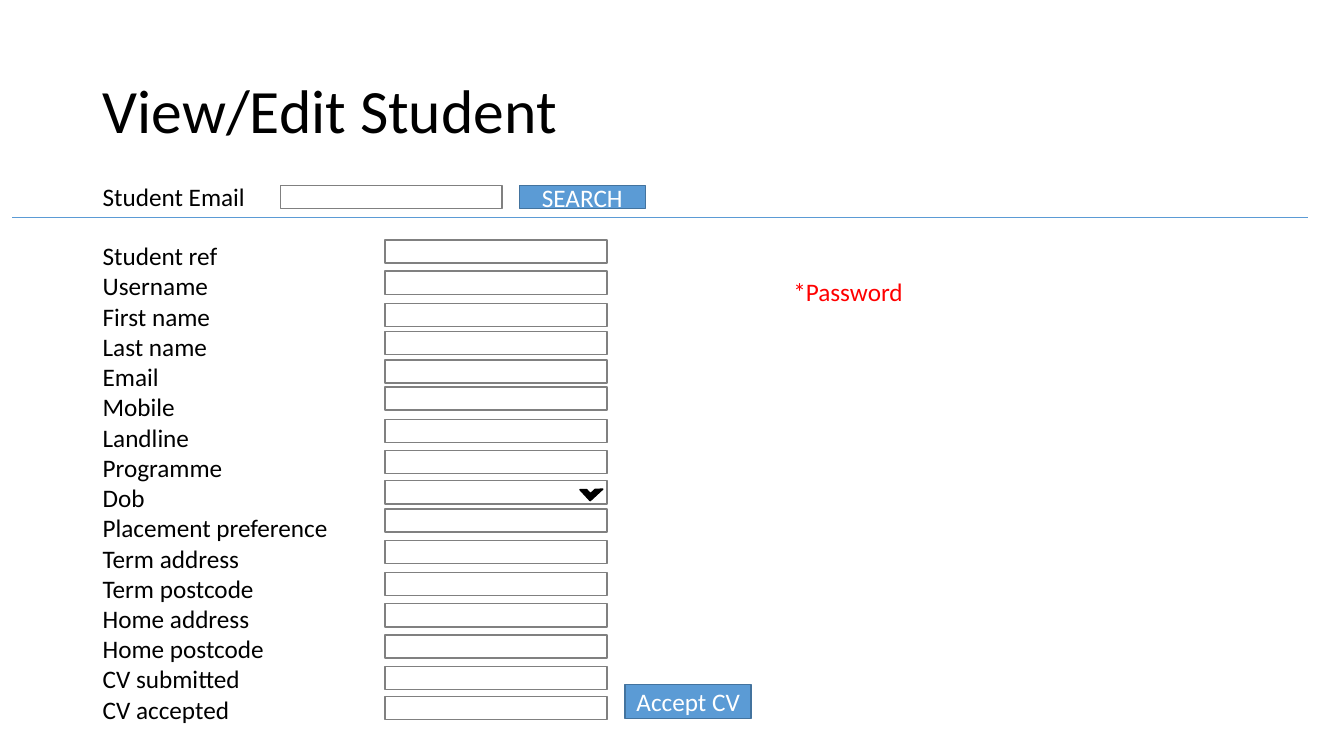
from dataclasses import dataclass

from pptx import Presentation
from pptx.dml.color import RGBColor
from pptx.enum.shapes import MSO_CONNECTOR, MSO_SHAPE
from pptx.enum.text import MSO_ANCHOR, PP_ALIGN
from pptx.util import Inches, Pt
from lxml import etree

RECT = MSO_SHAPE.RECTANGLE
HALF_FRAME = MSO_SHAPE.HALF_FRAME
STRAIGHT = MSO_CONNECTOR.STRAIGHT
MIDDLE, TOP = MSO_ANCHOR.MIDDLE, MSO_ANCHOR.TOP
LEFT, CENTER = PP_ALIGN.LEFT, PP_ALIGN.CENTER
A_NS = "http://schemas.openxmlformats.org/drawingml/2006/main"


@dataclass(frozen=True)
class Theme:
    font: str = "Calibri"
    title_size: int = 44
    body_size: int = 18
    white: RGBColor = RGBColor(0xFF, 0xFF, 0xFF)
    black: RGBColor = RGBColor(0, 0, 0)
    red: RGBColor = RGBColor(0xFF, 0, 0)
    blue: RGBColor = RGBColor(0x5B, 0x9B, 0xD5)
    button_edge: RGBColor = RGBColor(0x43, 0x73, 0x9E)
    field_edge: RGBColor = RGBColor(0x80, 0x80, 0x80)


theme = Theme()

prs = Presentation()
prs.slide_width, prs.slide_height = Inches(13.33), Inches(7.5)
s = prs.slides.add_slide(prs.slide_layouts[6])


def add_box(box, fill, edge=None, kind=RECT):
    sp = s.shapes.add_shape(kind, *map(Inches, box))
    sp.shadow.inherit = False
    sp.fill.solid()
    sp.fill.fore_color.rgb = fill
    if edge is None:
        sp.line.fill.background()
    else:
        sp.line.color.rgb = edge
        sp.line.width = Pt(1)
    return sp


def write(sp, lines, color, size=theme.body_size, align=LEFT, anchor=MIDDLE, wrap=True, spacing=None):
    tf = sp.text_frame
    tf.word_wrap = wrap
    tf.vertical_anchor = anchor
    for i, line in enumerate(lines):
        p = tf.paragraphs[0] if i == 0 else tf.add_paragraph()
        p.alignment = align
        p.line_spacing = spacing
        r = p.add_run()
        r.text = line
        r.font.color.rgb = color
        for name, value in {"name": theme.font, "size": Pt(size)}.items():
            setattr(r.font, name, value)


title = s.shapes.add_textbox(Inches(0.92), Inches(0.4), Inches(11.5), Inches(1.45))
write(title, ["View/Edit Student"], theme.black, theme.title_size, spacing=0.9)

field_labels = [
    "Student ref", "Username", "First name", "Last name",
    "Email", "Mobile", "Landline", "Programme",
    "Dob", "Placement preference", "Term address", "Term postcode",
    "Home address", "Home postcode", "CV submitted", "CV accepted",
]
for box, lines in [
    ((0.92, 2.31, 2.9, 4.95), field_labels),
    ((0.92, 1.75, 1.87, 0.4), ["Student Email"]),
]:
    write(add_box(box, theme.white), lines, theme.black)

field_tops = [
    2.38, 2.69, 3.01, 3.29, 3.57, 3.84, 4.16, 4.47,
    4.77, 5.05, 5.36, 5.68, 5.99, 6.3, 6.61, 6.91,
]
for left, top in [(2.78, 1.84)] + [(3.82, top) for top in field_tops]:
    add_box((left, top, 2.2, 0.23), theme.white, theme.field_edge)

for box, label in [
    ((5.15, 1.84, 1.25, 0.23), "SEARCH"),
    ((6.2, 6.79, 1.25, 0.34), "Accept CV"),
]:
    write(add_box(box, theme.blue, theme.button_edge), [label], theme.white, align=CENTER)

divider = s.shapes.add_connector(STRAIGHT, Inches(0.12), Inches(2.16), Inches(12.97), Inches(2.16))
divider.line.color.rgb = theme.blue
divider.line.width = Pt(0.5)
etree.SubElement(divider.line._get_or_add_ln().getparent(), f"{{{A_NS}}}effectLst")

dob_arrow = add_box((5.79, 4.77, 0.15, 0.17), theme.black, theme.black, HALF_FRAME)
dob_arrow.rotation = 227.3

password = s.shapes.add_textbox(Inches(7.77), Inches(2.69), Inches(1.3), Inches(0.4))
write(password, ["*Password"], theme.red, anchor=TOP, wrap=False)

prs.save("out.pptx")
